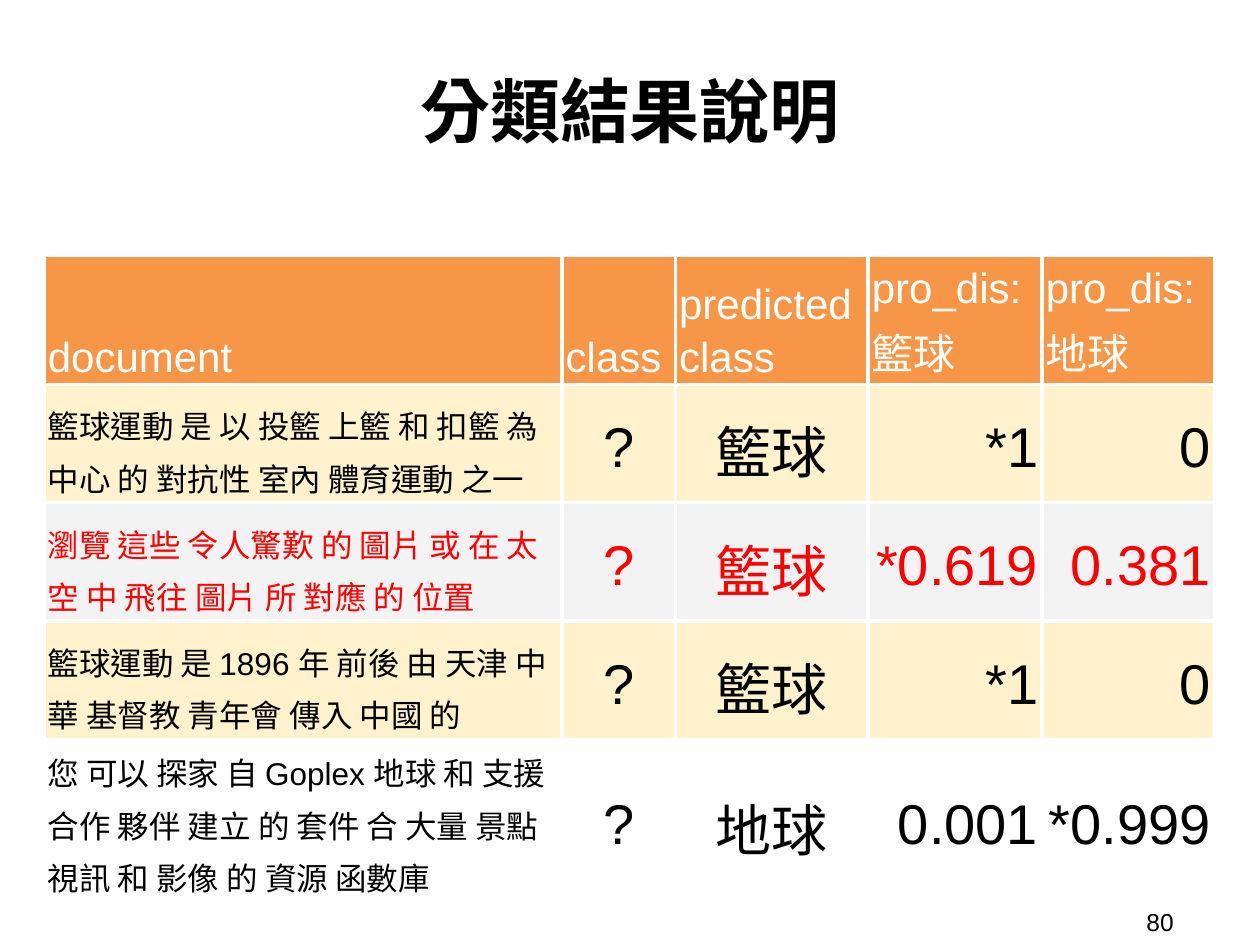
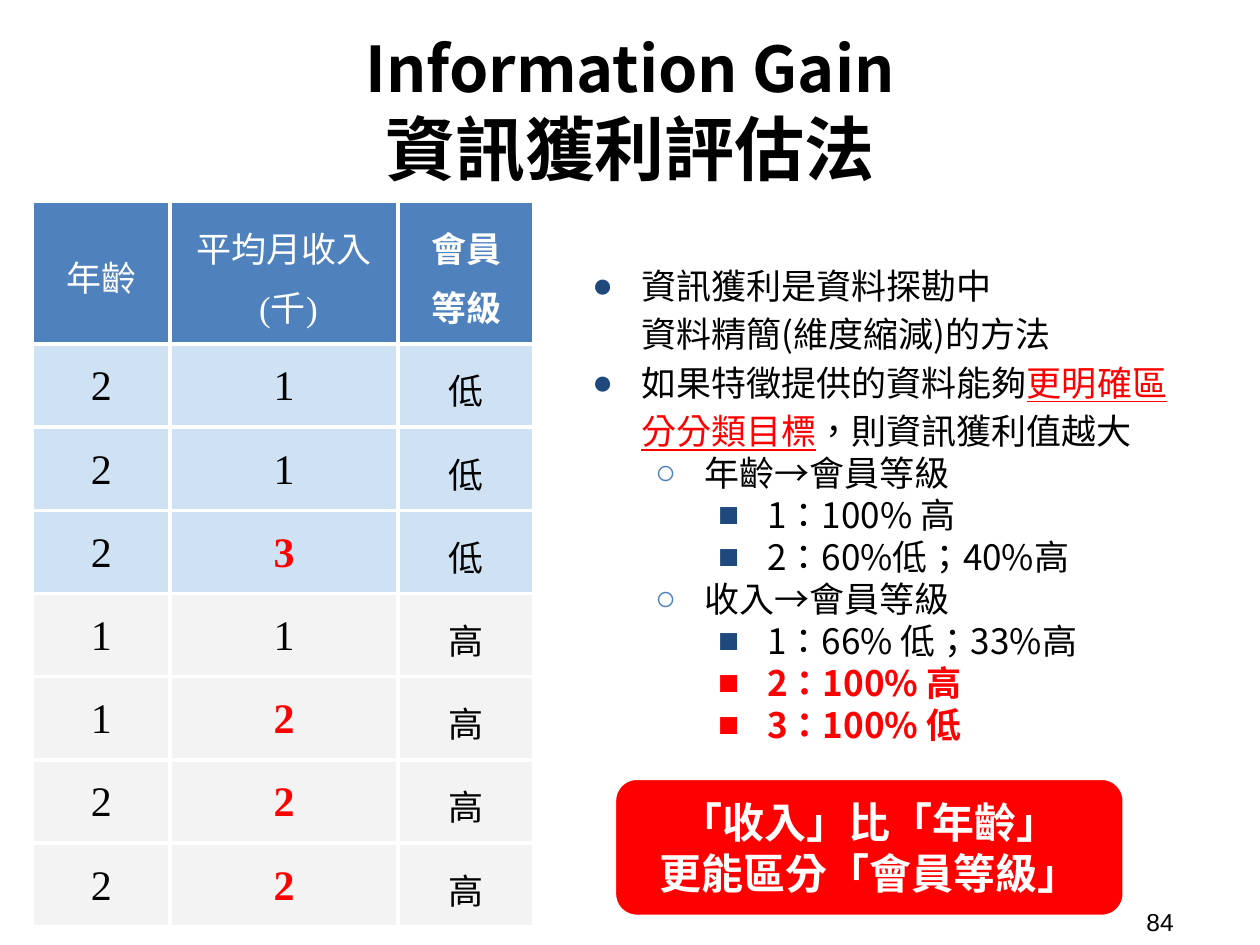
from lxml.etree import SubElement
from pptx import Presentation
from pptx.dml.color import RGBColor
from pptx.enum.shapes import MSO_SHAPE as Shape
from pptx.enum.text import MSO_ANCHOR as Anchor, PP_ALIGN as Align
from pptx.oxml.ns import qn
from pptx.util import Inches, Pt

# Shared style
SANS, CJK, SERIF = "Arial", "Noto Sans CJK TC", "Times New Roman"
BLACK, WHITE, RED = "000000", "FFFFFF", "FF0000"
ORANGE, CREAM, GREY = "F79646", "FFF2CC", "F3F3F3"
BLUE, NAVY, PALE_BLUE = "4F81BD", "1F497D", "CFE2F3"
TITLE_BOX = (0.52, 0.19, 8.96, 1.36)
NUMBER_BOX = (9, 7.17, 0.92, 0.29)

# Slide 1: classification results (document, class, predicted, probabilities)
RESULT_TITLE = ["分類結果說明"]
RESULT_HEADER = ["document", "class", "predicted\nclass",
                 "pro_dis: \n籃球", "pro_dis: \n地球"]
RESULTS = [
    ("籃球運動 是 以 投籃 上籃 和 扣籃 為 中心 的 對抗性 室內 體育運動 之一",
     "?", "籃球", "*1", "0"),
    ("瀏覽 這些 令人驚歎 的 圖片 或 在 太空 中 飛往 圖片 所 對應 的 位置",
     "?", "籃球", "*0.619", "0.381"),
    ("籃球運動 是 1896 年 前後 由 天津 中華 基督教 青年會 傳入 中國 的",
     "?", "籃球", "*1", "0"),
    ("您 可以 探家 自 Goplex 地球 和 支援 合作 夥伴 建立 的 套件 合 大量 景點 視訊 和 影像 的 資源 函數庫",
     "?", "地球", "0.001", "*0.999"),
]
RESULT_STYLES = [(CREAM, BLACK), (GREY, RED), (CREAM, BLACK), (WHITE, BLACK)]
RESULT_ALIGNS = [Align.LEFT, Align.CENTER, Align.CENTER, Align.RIGHT, Align.RIGHT]
RESULT_COLS = [4.11, 0.9, 1.53, 1.38, 1.37]
RESULT_ROWS = [1.02, 0.94, 0.94, 0.94, 1.29]

# Slide 2: information gain
GAIN_TITLE = [[("Information Gain", {"size": 36})], "資訊獲利評估法"]
SERIF_RUN = {"font": SERIF}
MEMBER_HEADER = [
    ["年齡"],
    ["平均月收入", [(" (", SERIF_RUN), ("千", {}), (")", SERIF_RUN)]],
    ["會員", "等級"],
]
MEMBERS = [(2, 1, "低"), (2, 1, "低"), (2, 3, "低"), (1, 1, "高"),
           (1, 2, "高"), (2, 2, "高"), (2, 2, "高")]
MEMBER_COLS = [1.09, 1.81, 1.08]
MEMBER_ROWS = [1.13] + [0.66] * len(MEMBERS)

STRONG = {"color": RED, "bold": True}
GAIN_POINTS = [  # level, runs, bullet colour
    (0, "資訊獲利是資料探勘中\n資料精簡(維度縮減)的方法", NAVY),
    (0, [("如果特徵提供的資料能夠", {}),
         ("更明確區分分類目標", {"color": RED, "underline": True}),
         ("，則資訊獲利值越大", {})], NAVY),
    (1, "年齡→會員等級", BLUE),
    (2, "1：100% 高", NAVY),
    (2, "2：60%低；40%高", NAVY),
    (1, "收入→會員等級", BLUE),
    (2, "1：66% 低；33%高", NAVY),
    (2, [("2：100% 高", STRONG)], RED),
    (2, [("3：100% 低", STRONG)], RED),
]
BULLETS = "●○■"
POINT_SPACING = [1.15, 1.0, 1.0]
CONCLUSION = ["「收入」比「年齡」", "更能區分「會員等級」"]


def rgb(value):
    return RGBColor.from_string(value)


def inches(values):
    return [Inches(v) for v in values]


def add_run(paragraph, text, font=SANS, size=20, color=BLACK, bold=False, underline=False):
    for i, line in enumerate(text.split("\n")):
        if i:
            paragraph.add_line_break()
        run = paragraph.add_run()
        run.text = line
        style = run.font
        style.name, style.size, style.bold = font, Pt(size), bold
        style.underline = underline
        style.color.rgb = rgb(color)
        properties = run._r.get_or_add_rPr()
        properties.set("lang", "zh-TW")
        SubElement(properties, qn("a:ea"), typeface=CJK)


def write(frame, paragraphs, align=Align.LEFT, spacing=None, **style):
    """Fill a text frame; a paragraph is a string or a list of (text, changes)."""
    for i, runs in enumerate(paragraphs):
        paragraph = frame.paragraphs[0] if i == 0 else frame.add_paragraph()
        paragraph.alignment = align
        if spacing:
            paragraph.line_spacing = spacing
        for text, changes in [(runs, {})] if isinstance(runs, str) else runs:
            add_run(paragraph, text, **{**style, **changes})


def set_frame(frame, anchor, side=0.1, edge=0.1):
    frame.word_wrap = True
    frame.vertical_anchor = anchor
    frame.margin_left = frame.margin_right = Inches(side)
    frame.margin_top = frame.margin_bottom = Inches(edge)
    return frame


def add_box(slide, box, anchor=Anchor.MIDDLE, **margins):
    return set_frame(slide.shapes.add_textbox(*inches(box)).text_frame, anchor, **margins)


def add_slide(deck, title, number):
    slide = deck.slides.add_slide(deck.slide_layouts[6])
    write(add_box(slide, NUMBER_BOX, edge=0.05), [number], size=14)
    write(add_box(slide, TITLE_BOX), title, Align.CENTER, font=CJK, size=40, bold=True)
    return slide


def add_grid(slide, left, top, cols, rows):
    grid = slide.shapes.add_table(len(rows), len(cols), *inches(
        (left, top, sum(cols), sum(rows)))).table
    for column, width in zip(grid.columns, cols):
        column.width = Inches(width)
    for row, height in zip(grid.rows, rows):
        row.height = Inches(height)
    return grid


def fill_cell(cell, paragraphs, fill, anchor, margins, **style):
    cell.vertical_anchor = anchor
    (cell.margin_left, cell.margin_top,
     cell.margin_right, cell.margin_bottom) = inches(margins * 2)
    properties = cell._tc.get_or_add_tcPr()
    for side in ("lnL", "lnR", "lnT", "lnB"):
        border = SubElement(properties, qn("a:" + side), w=str(Pt(2.25)))
        SubElement(SubElement(border, qn("a:solidFill")), qn("a:srgbClr"), val=WHITE)
    cell.fill.solid()
    cell.fill.fore_color.rgb = rgb(fill)
    write(cell.text_frame, paragraphs, spacing=1.15, **style)


def add_bullet(paragraph, level, color):
    paragraph.level = level
    properties = paragraph._p.get_or_add_pPr()
    properties.set("marL", str(Inches(0.5 * (level + 1))))
    properties.set("indent", str(Inches(-0.39)))
    SubElement(SubElement(properties, qn("a:buClr")), qn("a:srgbClr"), val=color)
    SubElement(properties, qn("a:buFont"), typeface=SANS)
    SubElement(properties, qn("a:buChar"), char=BULLETS[level])


def build_results(deck):
    slide = add_slide(deck, RESULT_TITLE, "80")
    grid = add_grid(slide, 0.35, 2.03, RESULT_COLS, RESULT_ROWS)
    margins = (0.03, 0.02)
    for c, label in enumerate(RESULT_HEADER):
        fill_cell(grid.cell(0, c), [label], ORANGE, Anchor.BOTTOM, margins,
                  size=24, color=WHITE)
    for r, (result, (fill, color)) in enumerate(zip(RESULTS, RESULT_STYLES), 1):
        for c, value in enumerate(result):
            fill_cell(grid.cell(r, c), [value], fill,
                      Anchor.MIDDLE if c else Anchor.BOTTOM, margins,
                      align=RESULT_ALIGNS[c], size=32 if c else 18, color=color)


def build_gain(deck):
    slide = add_slide(deck, GAIN_TITLE, "84")

    # Explanation
    points = add_box(slide, (4.49, 1.95, 4.99, 5.15), Anchor.TOP)
    write(points, [runs for _, runs, _ in GAIN_POINTS], font=CJK)
    for paragraph, (level, _, color) in zip(points.paragraphs, GAIN_POINTS):
        paragraph.line_spacing = POINT_SPACING[level]
        add_bullet(paragraph, level, color)

    # Member table
    grid = add_grid(slide, 0.26, 1.6, MEMBER_COLS, MEMBER_ROWS)
    margins = (0.1, 0.1)
    for c, label in enumerate(MEMBER_HEADER):
        fill_cell(grid.cell(0, c), label, BLUE, Anchor.MIDDLE, margins,
                  align=Align.CENTER, color=WHITE, bold=c == 2)
    for r, (age, income, grade) in enumerate(MEMBERS, 1):
        number = {"font": SERIF, "size": 24}
        styles = [number, {**number, **STRONG} if income > 1 else number, {}]
        for c, value in enumerate((age, income, grade)):
            fill_cell(grid.cell(r, c), [str(value)],
                      PALE_BLUE if grade == "低" else GREY, Anchor.TOP, margins,
                      align=Align.CENTER, **styles[c])

    # Conclusion
    banner = slide.shapes.add_shape(Shape.ROUNDED_RECTANGLE,
                                    *inches((4.87, 6.17, 4.06, 1.11)))
    banner.shadow.inherit = False
    banner.fill.solid()
    banner.fill.fore_color.rgb = rgb(RED)
    banner.line.color.rgb = rgb(WHITE)
    banner.line.width = Pt(3)
    write(set_frame(banner.text_frame, Anchor.MIDDLE), CONCLUSION,
          Align.CENTER, size=24, color=WHITE, bold=True)


def main():
    deck = Presentation()
    deck.slide_width, deck.slide_height = inches((10, 7.5))
    build_results(deck)
    build_gain(deck)
    deck.save("out.pptx")


if __name__ == "__main__":
    main()
